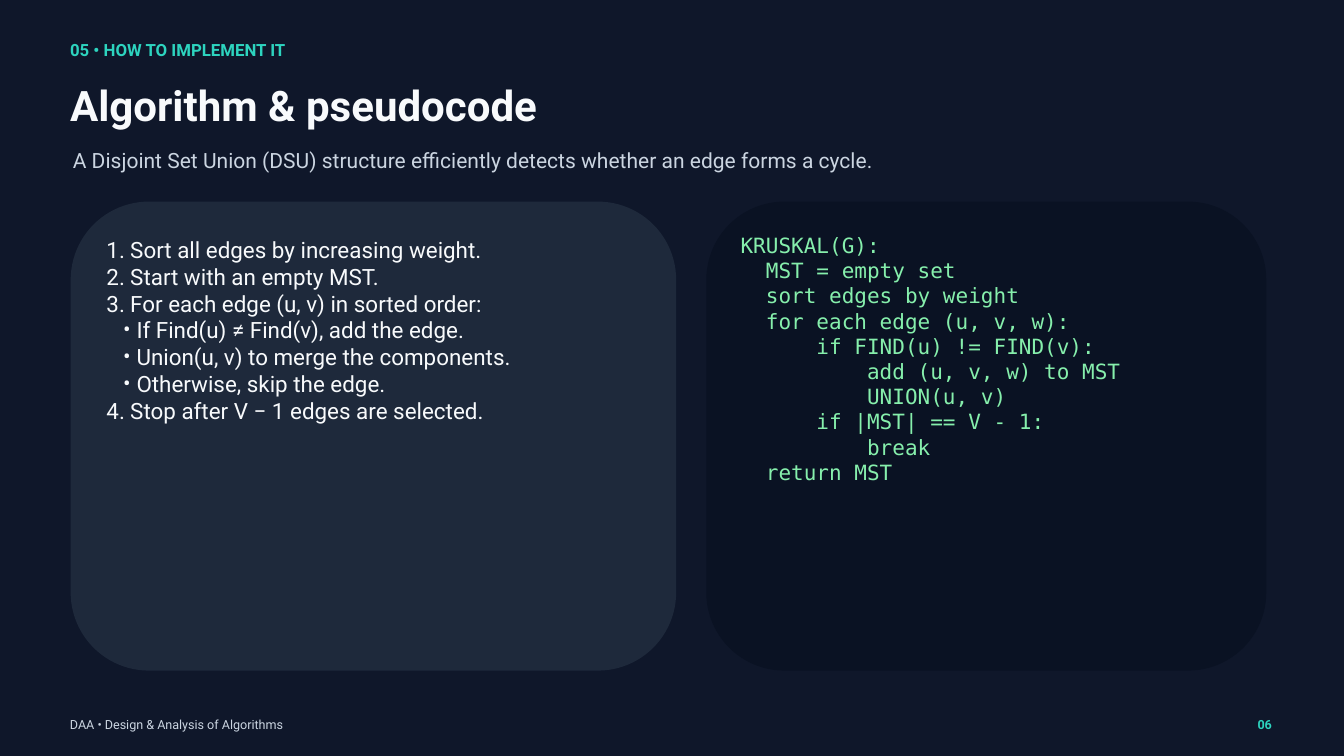
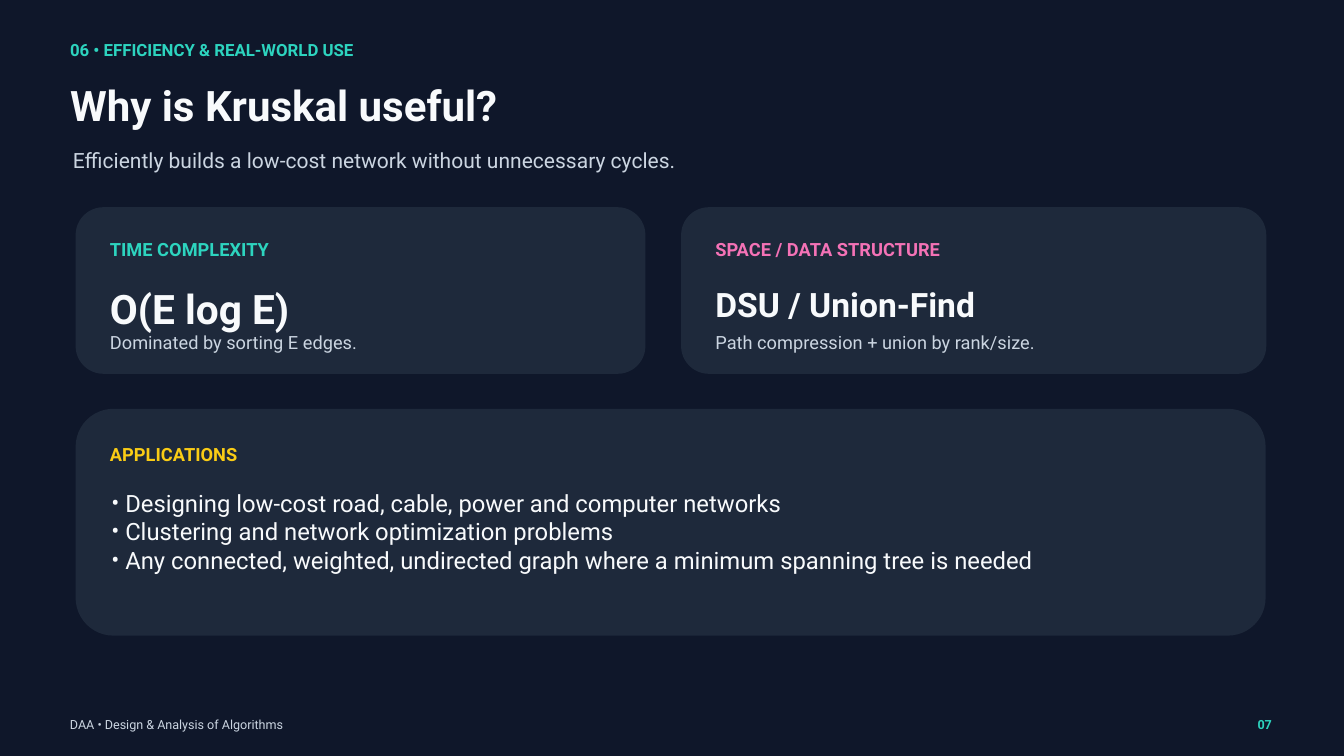
"""Build two slides on Kruskal's algorithm: pseudocode, and efficiency and use."""
import pptx
import pptx.dml.color
import pptx.enum.shapes
import pptx.enum.text
import pptx.oxml
import pptx.oxml.ns
import pptx.util

PX = 9525
WHITE, GREY, TEAL, PINK, YELLOW, GREEN = (
    "F8FAFC", "CBD5E1", "2DD4BF", "F472B6", "FACC15", "86EFAC")
NAVY, PANEL, CODE_PANEL = "0F172A", "1E293B", "0A1223"
FOOTER = "DAA • Design & Analysis of Algorithms"

STYLES = {
    "kicker": {"size": 18, "bold": True},
    "title": {"size": 45, "bold": True},
    "subtitle": {"size": 22.5},
    "steps": {"size": 24},
    "code": {"size": 22.5, "name": "DejaVu Sans Mono"},
    "label": {"size": 19.5, "bold": True},
    "big": {"size": 43.5, "bold": True},
    "medium": {"size": 36, "bold": True},
    "note": {"size": 19.5},
    "uses": {"size": 25.5},
    "footer": {"size": 13.5},
    "page": {"size": 13.5, "bold": True},
}

# kind: (level, left margin, hanging indent, bullet element)
BULLETS = {
    "number": (0, 34, 34, '<a:buAutoNum {ns} type="arabicPeriod"/>'),
    "sub": (1, 43, 19, '<a:buChar {ns} char="•"/>'),
    "dot": (0, 20, 20, '<a:buChar {ns} char="•"/>'),
}

STEPS = [
    ("number", "Sort all edges by increasing weight."),
    ("number", "Start with an empty MST."),
    ("number", "For each edge (u, v) in sorted order:"),
    ("sub", "If Find(u) ≠ Find(v), add the edge."),
    ("sub", "Union(u, v) to merge the components."),
    ("sub", "Otherwise, skip the edge."),
    ("number", "Stop after V − 1 edges are selected."),
]
CODE = """KRUSKAL(G):
  MST = empty set
  sort edges by weight
  for each edge (u, v, w):
      if FIND(u) != FIND(v):
          add (u, v, w) to MST
          UNION(u, v)
      if |MST| == V - 1:
          break
  return MST"""
USES = [
    ("dot", "Designing low-cost road, cable, power and computer networks"),
    ("dot", "Clustering and network optimization problems"),
    ("dot", "Any connected, weighted, undirected graph where a minimum "
            "spanning tree is needed"),
]


def plain(text):
    """Return the lines of a text as paragraphs without bullets."""
    return [(None, line) for line in text.split("\n")]


def stat_texts(label, label_color, value, value_style, note):
    """Return the three stacked texts of a statistic card."""
    return [(49, 44, 39, "label", label_color, plain(label)),
            (49, 110, 68, value_style, WHITE, plain(value)),
            (49, 178, 32, "note", GREY, plain(note))]


# card: (box, fill, text width, [(dx, dy, height, style, color, paragraphs)])
SLIDES = [
    {"kicker": "05 • HOW TO IMPLEMENT IT",
     "title": "Algorithm & pseudocode",
     "subtitle": "A Disjoint Set Union (DSU) structure efficiently detects "
                 "whether an edge forms a cycle.",
     "page": "06",
     "cards": [
         ((101, 288, 865, 670), PANEL, 757,
          [(51, 49, 581, "steps", WHITE, STEPS)]),
         ((1009, 288, 800, 670), CODE_PANEL, 702,
          [(49, 44, 563, "code", GREEN, plain(CODE))]),
     ]},
    {"kicker": "06 • EFFICIENCY & REAL-WORLD USE",
     "title": "Why is Kruskal useful?",
     "subtitle": "Efficiently builds a low-cost network without unnecessary "
                 "cycles.",
     "page": "07",
     "cards": [
         ((108, 296, 814, 238), PANEL, 709,
          stat_texts("TIME COMPLEXITY", TEAL, "O(E log E)", "big",
                     "Dominated by sorting E edges.")),
         ((973, 296, 836, 238), PANEL, 724,
          stat_texts("SPACE / DATA STRUCTURE", PINK, "DSU / Union-Find",
                     "medium", "Path compression + union by rank/size.")),
         ((108, 584, 1700, 324), PANEL, 1545,
          [(49, 49, 39, "label", YELLOW, plain("APPLICATIONS")),
           (51, 114, 163, "uses", WHITE, USES)]),
     ]},
]

FRAME = [
    ("kicker", (100, 57, 1717, 39), TEAL),
    ("title", (100, 114, 1717, 78), WHITE),
    ("subtitle", (104, 210, 1717, 54), GREY),
    ("footer", (100, 1024, 1501, 22), GREY),
    ("page", (1757, 1024, 60, 22), TEAL),
]


def rgb(color):
    """Turn a hex string into a colour."""
    return pptx.dml.color.RGBColor.from_string(color)


def emu(box):
    """Turn px lengths into EMU."""
    return [n * PX for n in box]


def add_bullet(p, kind):
    """Give a paragraph its level, indents and bullet or number."""
    level, margin, hang, xml = BULLETS[kind]
    p.level = level
    pPr = p._p.get_or_add_pPr()
    pPr.set("marL", str(margin * PX))
    pPr.set("indent", str(-hang * PX))
    ns = pptx.oxml.ns.nsdecls("a")
    for part in (f'<a:buFont {ns} typeface="Roboto"/>', xml.format(ns=ns)):
        pPr.append(pptx.oxml.parse_xml(part))


def fill_text(sp, box, style, color, paragraphs):
    """Place a text shape and write its formatted paragraphs."""
    sp.left, sp.top, sp.width, sp.height = emu(box)
    tf = sp.text_frame
    settings = {
        "word_wrap": True,
        "auto_size": pptx.enum.text.MSO_AUTO_SIZE.SHAPE_TO_FIT_TEXT,
        "vertical_anchor": pptx.enum.text.MSO_ANCHOR.TOP,
        "margin_left": 0, "margin_top": 0,
        "margin_right": 0, "margin_bottom": 0,
    }
    for key, value in settings.items():
        setattr(tf, key, value)
    align = pptx.enum.text.PP_ALIGN
    font = {"name": "Roboto", "bold": False, **STYLES[style]}
    size = font["size"]
    font["size"] = pptx.util.Pt(size)
    for i, (kind, text) in enumerate(paragraphs):
        p = tf.add_paragraph() if i else tf.paragraphs[0]
        if kind:
            add_bullet(p, kind)
        p.alignment = align.RIGHT if style == "page" else align.LEFT
        p.line_spacing = pptx.util.Pt(size * 1.2)
        r = p.add_run()
        r.text = text
        for key, value in font.items():
            setattr(r.font, key, value)
        r.font.color.rgb = rgb(color)


def add_text(s, box, *content):
    """Add a text box to a slide."""
    fill_text(s.shapes.add_textbox(*emu(box)), box, *content)


def add_card(s, box, color, text_width, texts):
    """Add a rounded panel and the texts inside it."""
    sp = s.shapes.add_shape(
        pptx.enum.shapes.MSO_SHAPE.ROUNDED_RECTANGLE, *emu(box))
    sp.shadow.inherit = False
    sp.fill.solid()
    sp.fill.fore_color.rgb = rgb(color)
    sp.line.fill.background()
    for dx, dy, height, *content in texts:
        add_text(s, (box[0] + dx, box[1] + dy, text_width, height), *content)


def add_slide(prs, data):
    """Add one slide with its frame texts and cards."""
    s = prs.slides.add_slide(prs.slide_layouts[5])
    for style, box, color in FRAME:
        paragraphs = plain(data.get(style, FOOTER))
        if style == "title":
            fill_text(s.shapes.title, box, style, color, paragraphs)
        else:
            add_text(s, box, style, color, paragraphs)
    for card in data["cards"]:
        add_card(s, *card)


def main():
    """Build and save the presentation."""
    prs = pptx.Presentation()
    prs.slide_width, prs.slide_height = emu((1920, 1080))
    fill = prs.slide_master.background.fill
    fill.solid()
    fill.fore_color.rgb = rgb(NAVY)
    for data in SLIDES:
        add_slide(prs, data)
    prs.save("out.pptx")


if __name__ == "__main__":
    main()
